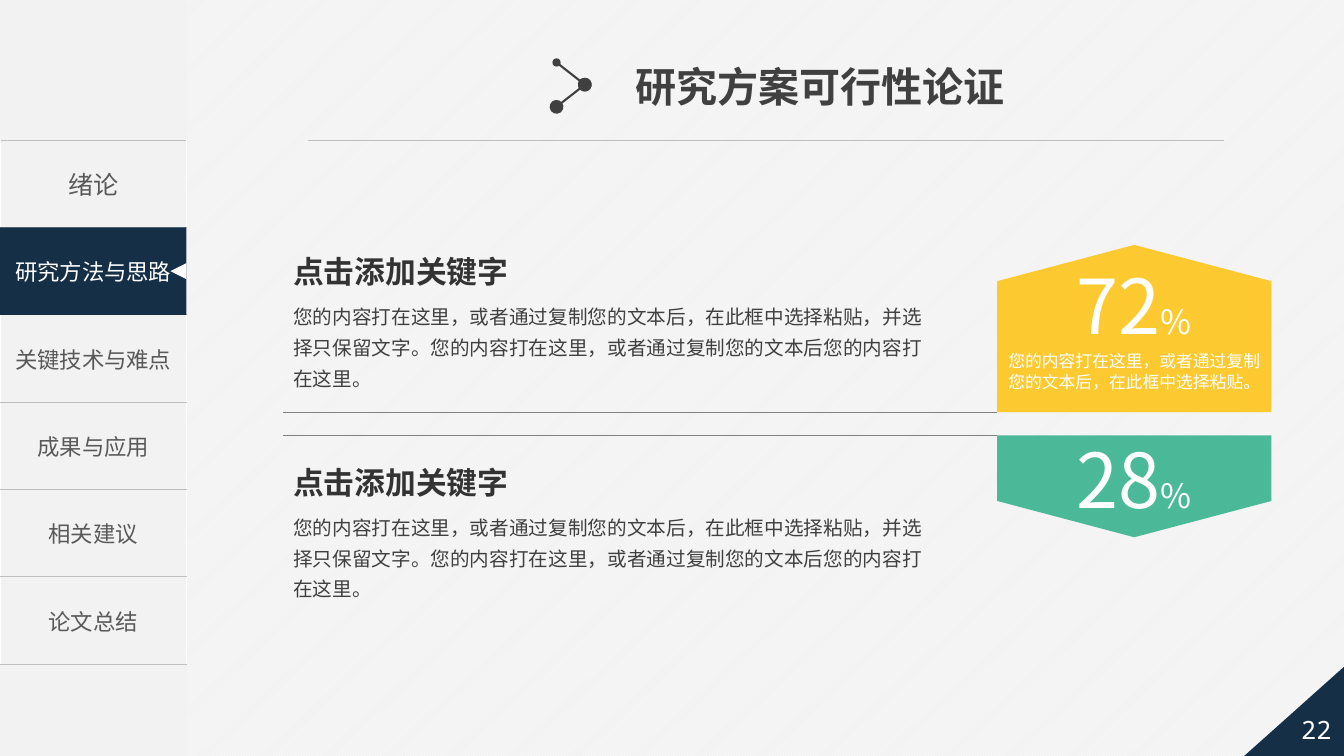
from lxml import etree
from pptx import Presentation
from pptx.dml.color import RGBColor
from pptx.enum.dml import MSO_PATTERN
from pptx.enum.shapes import MSO_CONNECTOR, MSO_SHAPE
from pptx.enum.text import MSO_ANCHOR, PP_ALIGN
from pptx.oxml import parse_xml
from pptx.oxml.ns import nsdecls, qn
from pptx.util import Inches, Pt

# Content
CHAPTERS = ["绪论", "研究方法与思路", "关键技术与难点", "成果与应用", "相关建议", "论文总结"]
CURRENT = 1
TITLE = "研究方案可行性论证"
KEYWORD = "点击添加关键字"
BODY = ("您的内容打在这里，或者通过复制您的文本后，在此框中选择粘贴，并选择只保留文字。"
        "您的内容打在这里，或者通过复制您的文本后您的内容打在这里。")
BADGE_NOTE = "您的内容打在这里，或者通过复制您的文本后，在此框中选择粘贴。"
PAGE = "22"
# number, note, colour, flat edge, shoulder, tip, text inset, rule y, heading top
BADGES = [
    ("72", BADGE_NOTE, "FFC000", 4.09, 2.79, 2.43, 0.83, 2.46),
    ("28", None, "21AB82", 4.32, 4.97, 5.33, 0.67, 4.55),
]

# Layout and style
FONT, NAVY, GREY, WHITE = "Noto Sans CJK SC", "152F47", "BFBFBF", "FFFFFF"
SIDE_W, MENU_TOP, MENU_H = 1.85, 1.39, 5.2
ROW_H = MENU_H / len(CHAPTERS)
TEXT_LEFT, BADGE_LEFT, BADGE_RIGHT = 2.81, 9.89, 12.61


def rgb(hex_colour):
    return RGBColor.from_string(hex_colour)


def set_font(font, size, colour, name=FONT, bold=False):
    font.size, font.bold, font.name = Pt(size), bold, name
    font.color.rgb = rgb(colour)
    etree.SubElement(font._element, qn("a:ea")).set("typeface", FONT)


def paint(sp, colour):
    sp.shadow.inherit = False
    sp.fill.solid()
    sp.fill.fore_color.rgb = rgb(colour)
    sp.line.fill.background()


def add_block(kind, left, top, width, height, colour):
    sp = s.shapes.add_shape(kind, Inches(left), Inches(top), Inches(width), Inches(height))
    paint(sp, colour)
    return sp


def add_text(left, top, width, height, text, size, colour, name=FONT, bold=False):
    tf = s.shapes.add_textbox(Inches(left), Inches(top), Inches(width), Inches(height)).text_frame
    tf.word_wrap = True
    p = tf.paragraphs[0]
    p.text = text
    set_font(p.font, size, colour, name, bold)
    return tf


def add_line(x1, y1, x2, y2, colour, width):
    cx = s.shapes.add_connector(MSO_CONNECTOR.STRAIGHT, Inches(x1), Inches(y1), Inches(x2), Inches(y2))
    cx.line.color.rgb = rgb(colour)
    cx.line.width = Pt(width)
    etree.SubElement(cx._element.spPr, qn("a:effectLst"))
    return cx


def add_dots(cx, head, tail):
    ln = cx.line._get_or_add_ln()
    for tag, size in (("a:headEnd", head), ("a:tailEnd", tail)):
        end = etree.SubElement(ln, qn(tag))
        for key, value in (("type", "oval"), ("w", size), ("len", size)):
            end.set(key, value)


def add_cell_rules(cell):
    tcPr = cell._tc.get_or_add_tcPr()
    for i, side in enumerate(("lnT", "lnB")):
        tcPr.insert(i, parse_xml(
            f'<a:{side} {nsdecls("a")} w="12700"><a:solidFill><a:srgbClr val="{GREY}"/>'
            f'</a:solidFill></a:{side}>'))


prs = Presentation()
prs.slide_width, prs.slide_height = Inches(13.33), Inches(7.5)
s = prs.slides.add_slide(prs.slide_layouts[6])

# Striped background
bg = s.background.fill
bg.patterned()
bg.pattern = MSO_PATTERN.LIGHT_UPWARD_DIAGONAL
bg.fore_color.rgb, bg.back_color.rgb = rgb(WHITE), rgb("F2F2F2")

# Chapter menu
add_block(MSO_SHAPE.RECTANGLE, 0, 0, SIDE_W, 7.5, "F2F2F2")
table = s.shapes.add_table(len(CHAPTERS), 1, 0, Inches(MENU_TOP), Inches(SIDE_W), Inches(MENU_H)).table
table.first_row = table.horz_banding = False
for i, chapter in enumerate(CHAPTERS):
    cell = table.cell(i, 0)
    cell.fill.background()
    cell.vertical_anchor = MSO_ANCHOR.MIDDLE
    p = cell.text_frame.paragraphs[0]
    p.text, p.alignment = chapter, PP_ALIGN.CENTER
    set_font(p.font, 18 if i == 0 else 16, "595959")
    add_cell_rules(cell)

# Current chapter marker
tab_top = MENU_TOP + CURRENT * ROW_H
tab = add_block(MSO_SHAPE.RECTANGLE, 0, tab_top, SIDE_W, ROW_H, NAVY)
tab.text_frame.vertical_anchor = MSO_ANCHOR.MIDDLE
p = tab.text_frame.paragraphs[0]
p.text, p.alignment = CHAPTERS[CURRENT], PP_ALIGN.CENTER
set_font(p.font, 16, WHITE)
pointer = add_block(MSO_SHAPE.ISOSCELES_TRIANGLE, 1.69, tab_top + (ROW_H - 0.16) / 2, 0.16, 0.16, WHITE)
pointer.rotation = 270

# Page corner
corner = add_block(MSO_SHAPE.RIGHT_TRIANGLE, 12.33, 6.58, 1.04, 0.93, NAVY)
corner._element.spPr.find(qn("a:xfrm")).set("flipH", "1")
tf = add_text(12.78, 6.97, 0.55, 0.53, PAGE, 18, WHITE, "Noto Sans Mono")
tf.margin_left = tf.margin_right = 0
tf.vertical_anchor = MSO_ANCHOR.MIDDLE
tf.paragraphs[0].alignment = PP_ALIGN.CENTER

# Title with node icon
add_line(3.05, MENU_TOP, 12.14, MENU_TOP, GREY, 0.5)
add_text(6.2, 0.56, 4.05, 0.59, TITLE, 29.3, "404040", "Arial", True)
add_dots(add_line(5.52, 0.62, 5.8, 0.84, "404040", 1.5), "med", "lg")
add_dots(add_line(5.8, 0.84, 5.52, 1.06, "404040", 1.5), "lg", "lg")

# Percentage badges, each with its rule, heading and body
for number, note, colour, edge, shoulder, tip, inset, top in BADGES:
    middle = (BADGE_LEFT + BADGE_RIGHT) / 2
    outline = [(BADGE_LEFT, edge), (BADGE_LEFT, shoulder), (middle, tip),
               (BADGE_RIGHT, shoulder), (BADGE_RIGHT, edge)]
    points = [(Inches(x), Inches(y)) for x, y in outline]
    builder = s.shapes.build_freeform(*points[0])
    builder.add_line_segments(points[1:], close=True)
    badge = builder.convert_to_shape()
    paint(badge, colour)
    solid = badge._element.spPr.find(qn("a:solidFill"))
    etree.SubElement(solid[0], qn("a:alpha")).set("val", "80000")

    tf = badge.text_frame
    tf.word_wrap, tf.margin_top = True, Inches(inset)
    tf.vertical_anchor = MSO_ANCHOR.TOP
    rows = [[(number, 54), ("%", 24)]] + ([[(note, 12)]] if note else [])
    for i, row in enumerate(rows):
        p = tf.add_paragraph() if i else tf.paragraphs[0]
        p.alignment, p.line_spacing = PP_ALIGN.CENTER, Pt(15)
        for text, size in row:
            r = p.add_run()
            r.text = text
            set_font(r.font, size, WHITE)

    add_line(BADGE_LEFT, edge, TEXT_LEFT, edge, "808080", 0.5)
    add_text(TEXT_LEFT, top, 3.05, 0.47, KEYWORD, 22, "333333", bold=True)
    tf = add_text(TEXT_LEFT, top + 0.45, 6.54, 1.02, BODY, 14, "404040")
    tf.paragraphs[0].line_spacing = 1.3

prs.save("out.pptx")
